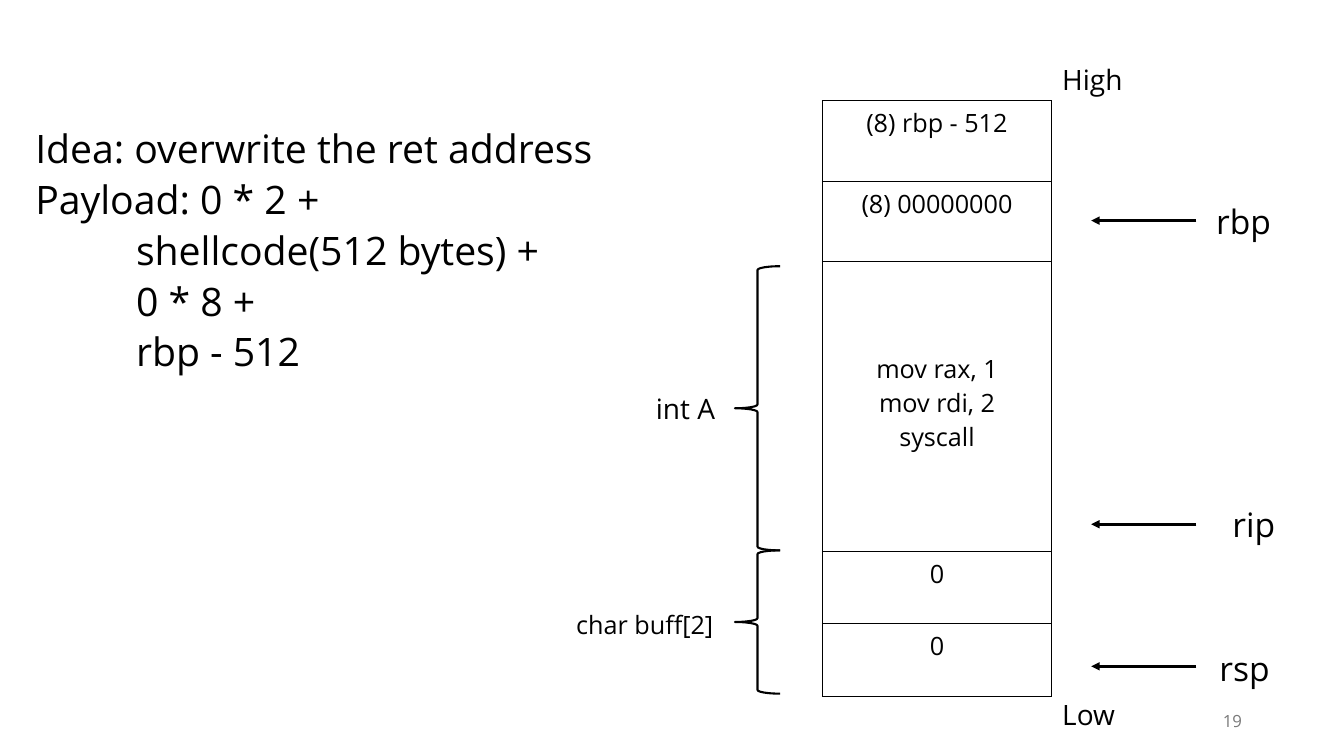
from lxml import etree
from pptx import Presentation
from pptx.dml.color import RGBColor
from pptx.enum.shapes import MSO_CONNECTOR, MSO_SHAPE
from pptx.enum.text import MSO_ANCHOR, PP_ALIGN
from pptx.oxml import parse_xml
from pptx.oxml.ns import nsdecls, qn
from pptx.util import Cm, Pt

LEFT, CENTER, RIGHT = PP_ALIGN.LEFT, PP_ALIGN.CENTER, PP_ALIGN.RIGHT
MIDDLE = MSO_ANCHOR.MIDDLE
BRACE = MSO_SHAPE.LEFT_BRACE
STRAIGHT = MSO_CONNECTOR.STRAIGHT
FONT = "Open Sans"
BLACK, GRAY = "000000", "797979"


def color(value):
    return RGBColor.from_string(value)


def style(para, size, align=LEFT, ink=BLACK):
    para.alignment = align
    para.font.name = FONT
    para.font.size = Pt(size)
    para.font.color.rgb = color(ink)


deck = Presentation()
deck.slide_width, deck.slide_height = Cm(33.87), Cm(19.05)
page = deck.slides.add_slide(deck.slide_layouts[6])
shapes = page.shapes

body = shapes.add_textbox(Cm(0.64), Cm(3.15), Cm(15.88), Cm(12.09)).text_frame
body.word_wrap = True
payload = [
    ("Idea: overwrite the ret address", 0),
    ("Payload: 0 * 2 +", 0),
    ("shellcode(512 bytes) +", 2.54),
    ("0 * 8 +", 2.54),
    ("rbp - 512", 2.54),
]
body.text = "\n".join(text for text, indent in payload)
for para, (text, indent) in zip(body.paragraphs, payload):
    style(para, 28)
    para.line_spacing = 0.9
    para.space_before = Pt(6)
    para._p.get_or_add_pPr().set("marL", str(Cm(indent)))

stack_rows = [
    ("(8) rbp - 512", 2.03, 0.13),
    ("(8) 00000000", 2.03, 0.13),
    ("mov rax, 1\nmov rdi, 2\nsyscall", 7.29, 2.25),
    ("0", 1.83, 0.13),
    ("0", 1.83, 0.13),
]
stack = shapes.add_table(len(stack_rows), 1, Cm(20.73), Cm(2.54), Cm(5.77), Cm(15.01)).table
stack.first_row = stack.horz_banding = False
for row, (text, height, margin) in enumerate(stack_rows):
    stack.rows[row].height = Cm(height)
    cell = stack.cell(row, 0)
    cell.text = text
    cell.margin_top = Cm(margin)
    for para in cell.text_frame.paragraphs:
        style(para, 18, CENTER)
    for side in ("lnL", "lnR", "lnT", "lnB"):
        cell._tc.get_or_add_tcPr().append(parse_xml(
            f'<a:{side} {nsdecls("a")} w="{Pt(0.96)}"><a:solidFill>'
            f'<a:srgbClr val="{BLACK}"/></a:solidFill></a:{side}>'))
    cell.fill.background()

for top, height in [(6.71, 7.16), (13.87, 3.61)]:
    brace = shapes.add_shape(BRACE, Cm(18.52), Cm(top), Cm(1.14), Cm(height))
    brace.shadow.inherit = False
    brace.fill.background()
    brace.line.color.rgb = color(BLACK)
    brace.line.width = Pt(1.5)

for y in (5.56, 13.21, 16.79):
    arrow = shapes.add_connector(STRAIGHT, Cm(30.15), Cm(y), Cm(27.5), Cm(y))
    arrow.line.color.rgb = color(BLACK)
    arrow.line.width = Pt(0)
    etree.SubElement(arrow.line._get_or_add_ln(), qn("a:tailEnd"), type="triangle")
    etree.SubElement(arrow._element.spPr, qn("a:effectLst"))

labels = [
    ("High", 26.52, 1.45, 2.13, 1.09, 20, LEFT),
    ("Low", 26.52, 17.45, 1.88, 1.09, 20, LEFT),
    ("int A", 16.28, 9.73, 2.13, 1.09, 20, LEFT),
    ("char buff[2]", 14.27, 15.24, 4.24, 1.02, 18, LEFT),
    ("rbp", 30.4, 4.93, 1.93, 1.27, 24, LEFT),
    ("rip", 30.76, 12.57, 1.63, 1.27, 24, RIGHT),
    ("rsp", 30.48, 16.21, 1.83, 1.27, 24, LEFT),
]
for text, left, top, width, height, size, align in labels:
    frame = shapes.add_textbox(Cm(left), Cm(top), Cm(width), Cm(height)).text_frame
    frame.word_wrap = False
    frame.text = text
    style(frame.paragraphs[0], size, align)

number = shapes.add_textbox(Cm(23.93), Cm(17.65), Cm(7.62), Cm(1.02)).text_frame
number.word_wrap = True
number.vertical_anchor = MIDDLE
number.text = "19"
style(number.paragraphs[0], 12, RIGHT, GRAY)

deck.save("out.pptx")
